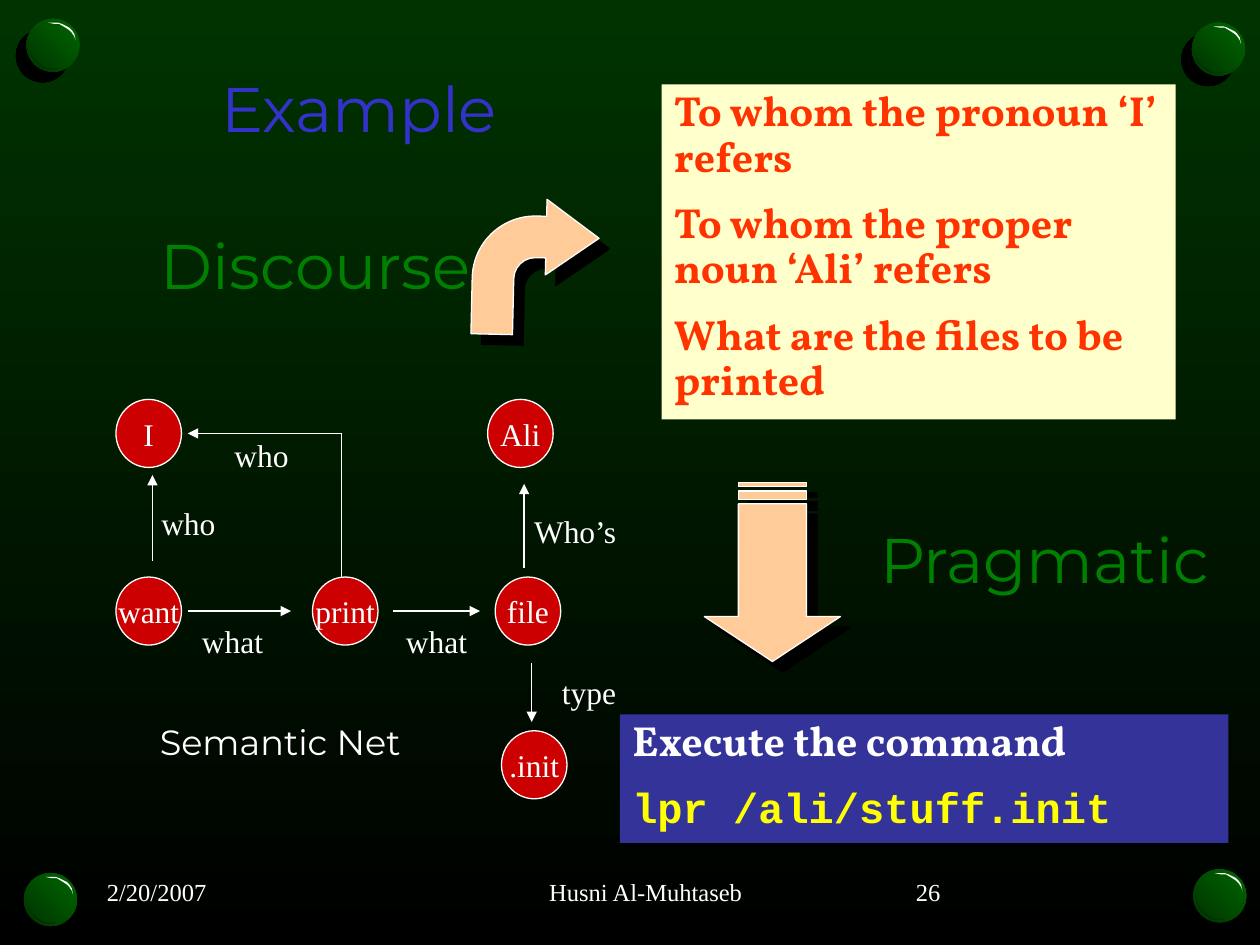
from lxml.etree import SubElement
from pptx import Presentation
from pptx.dml.color import RGBColor
from pptx.enum.shapes import MSO_CONNECTOR, MSO_SHAPE
from pptx.enum.text import MSO_ANCHOR, PP_ALIGN
from pptx.oxml.ns import qn
from pptx.util import Pt

PX = 9144  # 100 px to the inch
WHITE = RGBColor(0xFF, 0xFF, 0xFF)
BLACK = RGBColor(0x00, 0x00, 0x00)
DARK_GREEN = RGBColor(0x00, 0x33, 0x00)
BALL_GREEN = RGBColor(0x00, 0x66, 0x00)
GREEN = RGBColor(0x00, 0x80, 0x00)
BLUE = RGBColor(0x33, 0x33, 0xCC)
NAVY = RGBColor(0x33, 0x33, 0x99)
RED = RGBColor(0xCC, 0x00, 0x00)
ORANGE_RED = RGBColor(0xFF, 0x33, 0x00)
CREAM = RGBColor(0xFF, 0xFF, 0xCC)
PEACH = RGBColor(0xFF, 0xCC, 0x99)
YELLOW = RGBColor(0xFF, 0xFF, 0x00)
SERIF, DISPLAY, BOOK, MONO = "Times New Roman", "Montserrat", "Vollkorn", "Courier New"

BALL = 42
GLINT = [(17, 3), (25, 3), (28, 4), (30, 5), (34, 7), (36, 9), (38, 12), (39, 17),
         (38, 14), (36, 11), (34, 9), (31, 7), (26, 4), (22, 4)]
SHADE = [(26, 39), (20, 39), (16, 39), (13, 37), (10, 35), (8, 33), (6, 32), (3, 25),
         (4, 30), (6, 33), (8, 35), (12, 38), (15, 40), (19, 40), (23, 40)]
NODE_W, NODE_H = 52, 54
LABEL_W, LABEL_H = 81, 34


def emu(*lengths):
    return [length * PX for length in lengths]


def paint_gradient(fill, first, last, angle):
    fill.gradient()
    fill.gradient_angle = angle
    for stop, colour in zip(fill.gradient_stops, (first, last)):
        stop.color.rgb = colour


def style(paragraph, font, size, colour, bold=False, align=PP_ALIGN.LEFT):
    paragraph.alignment = align
    for run in paragraph.runs:
        run.font.name, run.font.size, run.font.bold = font, Pt(size), bold
        run.font.color.rgb = colour


def keep_on_one_line(frame):
    frame.word_wrap = False
    frame.margin_left = frame.margin_right = 0


def add_preset(slide, kind, box, colour, line=None):
    shape = slide.shapes.add_shape(kind, *emu(*box))
    shape.shadow.inherit = False
    shape.fill.solid()
    shape.fill.fore_color.rgb = colour
    if line is None:
        shape.line.fill.background()
    else:
        shape.line.color.rgb = line
        shape.line.width = Pt(0.75)
    return shape


def cast_shadow(shape, degrees):
    """Give the shape a hard black shadow in the given direction."""
    effects = shape._element.spPr.find(qn("a:effectLst"))
    shadow = SubElement(effects, qn("a:outerShdw"), dist=str(Pt(8.5)),
                        dir=str(degrees * 60000), algn="ctr", rotWithShape="0")
    SubElement(shadow, qn("a:srgbClr"), val=str(BLACK))


def add_text(slide, box, text, font, size, colour, align=PP_ALIGN.LEFT,
             anchor=MSO_ANCHOR.TOP, wrap=True):
    frame = slide.shapes.add_textbox(*emu(*box)).text_frame
    if wrap:
        frame.word_wrap = True
    else:
        keep_on_one_line(frame)
    frame.vertical_anchor = anchor
    frame.text = text
    style(frame.paragraphs[0], font, size, colour, align=align)


def add_ball(slide, left, top):
    ball = add_preset(slide, MSO_SHAPE.OVAL, (left, top, BALL, BALL), BALL_GREEN)
    paint_gradient(ball.fill, DARK_GREEN, BALL_GREEN, 45)
    cast_shadow(ball, 135)
    for outline, colour in ((GLINT, WHITE), (SHADE, DARK_GREEN)):
        points = [(left + x, top + y) for x, y in outline]
        builder = slide.shapes.build_freeform(*points[0], scale=PX)
        builder.add_line_segments(points[1:], close=True)
        crescent = builder.convert_to_shape()
        crescent.shadow.inherit = False
        crescent.fill.solid()
        crescent.fill.fore_color.rgb = colour
        crescent.line.fill.background()


def add_edge(slide, start, end, arrow=True):
    edge = slide.shapes.add_connector(MSO_CONNECTOR.STRAIGHT, *emu(*start, *end))
    edge.line.color.rgb = WHITE
    edge.line.width = Pt(0.75)
    if arrow:
        SubElement(edge.line._get_or_add_ln(), qn("a:tailEnd"), type="triangle")
    SubElement(edge._element.spPr, qn("a:effectLst"))


def add_semantic_net(slide, left, top):
    nodes = {"I": (0, 0), "want": (0, 141), "print": (156, 141),
             "Ali": (295, 0), ".init": (306, 263), "file": (301, 141)}
    edges = [((29, 128), (29, 60)), ((57, 168), (139, 168)), ((220, 168), (289, 168)),
             ((324, 134), (324, 67)), ((330, 209), (330, 256)), ((179, 27), (57, 27))]
    labels = [("who", 17, 81), ("what", 52, 175), ("who", 75, 27),
              ("Who’s", 324, 87), ("what", 214, 175), ("type", 335, 215)]
    for word, (x, y) in nodes.items():
        node = add_preset(slide, MSO_SHAPE.OVAL, (left + x, top + y, NODE_W, NODE_H), RED, WHITE)
        frame = node.text_frame
        frame.word_wrap = False
        frame.vertical_anchor = MSO_ANCHOR.MIDDLE
        frame.text = word
        style(frame.paragraphs[0], SERIF, 18, WHITE, align=PP_ALIGN.CENTER)
    for (x1, y1), (x2, y2) in edges:
        add_edge(slide, (left + x1, top + y1), (left + x2, top + y2))
    add_edge(slide, (left + 179, top + 141), (left + 179, top + 27), arrow=False)
    for word, x, y in labels:
        add_text(slide, (left + x, top + y, LABEL_W, LABEL_H), word, SERIF, 18, WHITE,
                 PP_ALIGN.CENTER, MSO_ANCHOR.MIDDLE, wrap=False)
    add_text(slide, (left + 25, top + 250, 250, 43), "Semantic Net", DISPLAY, 20, WHITE)


def add_panel(slide, box, colour, lines):
    """Place a filled box holding (text, font, colour) paragraphs."""
    frame = add_preset(slide, MSO_SHAPE.RECTANGLE, box, colour).text_frame
    frame.word_wrap = True
    frame.vertical_anchor = MSO_ANCHOR.TOP
    for index, (text, font, ink) in enumerate(lines):
        paragraph = frame.add_paragraph() if index else frame.paragraphs[0]
        paragraph.text = text
        paragraph.line_spacing = 0.9
        if index:
            paragraph.space_before = Pt(12)
        style(paragraph, font, 24, ink, bold=True)


def add_block_arrow(slide, kind, box, rotation, adjustments):
    arrow = add_preset(slide, kind, box, PEACH, WHITE)
    arrow.rotation = rotation
    for index, value in enumerate(adjustments):
        arrow.adjustments[index] = value
    cast_shadow(arrow, 45)


def set_title(slide, box, text):
    title = slide.shapes.title
    title.left, title.top, title.width, title.height = emu(*box)
    frame = title.text_frame
    keep_on_one_line(frame)
    frame.vertical_anchor = MSO_ANCHOR.TOP
    frame.text = text
    style(frame.paragraphs[0], DISPLAY, 36, BLUE, align=PP_ALIGN.CENTER)


def add_footer(slide, top, height):
    for text, left, width, align in (("2/20/2007", 75, 243, PP_ALIGN.LEFT),
                                     ("Husni Al-Muhtaseb", 327, 371, PP_ALIGN.CENTER),
                                     ("26", 717, 219, PP_ALIGN.LEFT)):
        add_text(slide, (left, top, width, height), text, SERIF, 14, WHITE,
                 align, MSO_ANCHOR.MIDDLE)


def main():
    deck = Presentation()
    deck.slide_width, deck.slide_height = emu(1000, 750)
    slide = deck.slides.add_slide(deck.slide_layouts[5])
    paint_gradient(slide.background.fill, DARK_GREEN, BLACK, 270)

    for corner in ((21, 15), (946, 18), (947, 690), (19, 693)):
        add_ball(slide, *corner)
    set_title(slide, (167, 50, 236, 96), "Example")
    add_footer(slide, 683, 50)
    add_semantic_net(slide, 92, 317)

    questions = ("To whom the pronoun ‘I’ refers", "To whom the proper noun ‘Ali’ refers",
                 "What are the files to be printed")
    add_panel(slide, (525, 67, 408, 266), CREAM,
              [(question, BOOK, ORANGE_RED) for question in questions])
    add_block_arrow(slide, MSO_SHAPE.BENT_ARROW, (375, 158, 100, 108), 1.3,
                    (0.33, 0.3, 0.42, 0.5))
    add_panel(slide, (492, 567, 483, 102), NAVY,
              [("Execute the command", BOOK, WHITE), ("lpr /ali/stuff.init", MONO, YELLOW)])
    add_block_arrow(slide, MSO_SHAPE.STRIPED_RIGHT_ARROW, (542, 400, 142, 108), 90,
                    (0.5, 0.33))
    for stage, box in (("Discourse", (122, 175, 257, 83)), ("Pragmatic", (694, 408, 270, 100))):
        add_text(slide, box, stage, DISPLAY, 36, GREEN, PP_ALIGN.CENTER, wrap=False)

    deck.save("out.pptx")


if __name__ == "__main__":
    main()
